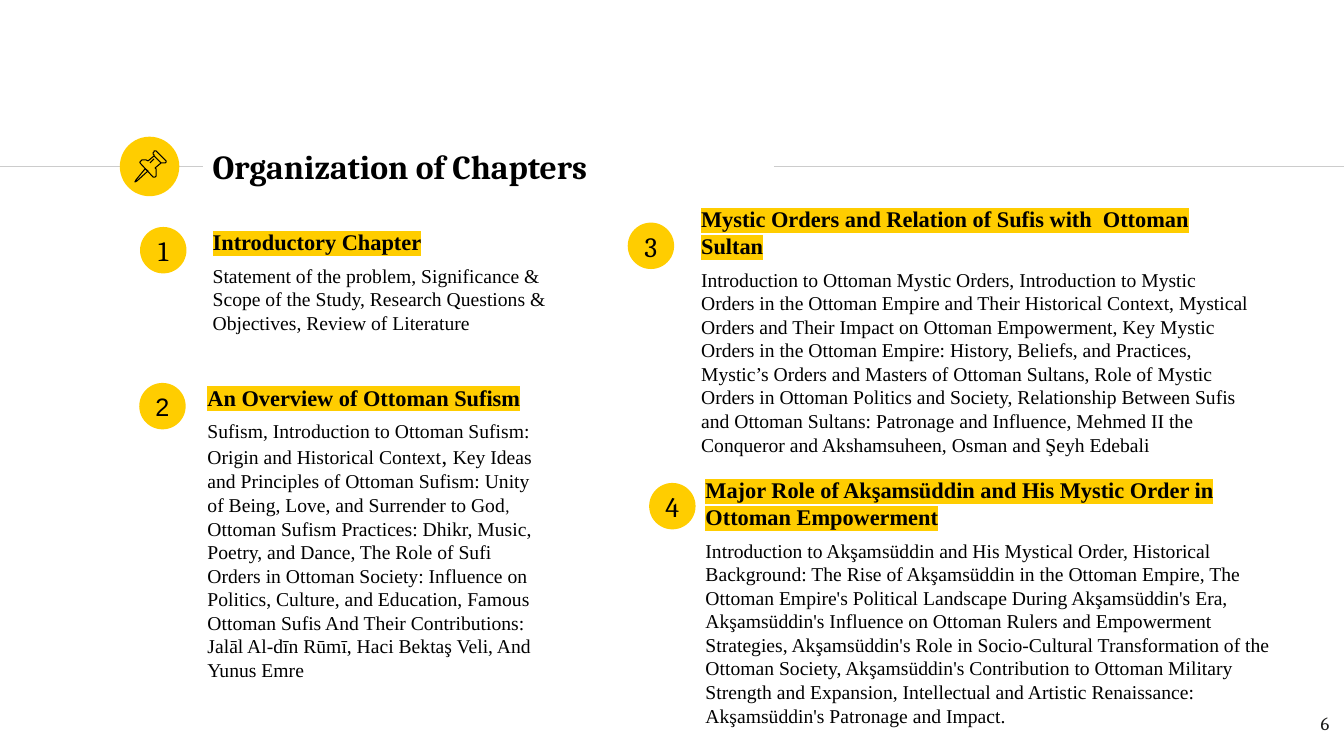
from lxml import etree
from pptx import Presentation
from pptx.dml.color import RGBColor
from pptx.enum.shapes import MSO_CONNECTOR, MSO_SHAPE
from pptx.enum.text import MSO_ANCHOR, PP_ALIGN
from pptx.oxml.ns import qn
from pptx.util import Cm, Pt

STRAIGHT = MSO_CONNECTOR.STRAIGHT
OVAL = MSO_SHAPE.OVAL
TOP, MIDDLE = MSO_ANCHOR.TOP, MSO_ANCHOR.MIDDLE
LEFT, CENTER, RIGHT = PP_ALIGN.LEFT, PP_ALIGN.CENTER, PP_ALIGN.RIGHT

YELLOW, BLACK, GREY, INK = "FFCD00", "000000", "CCCCCC", "1D1D1B"
SERIF, HEADING, SANS = "Times New Roman", "Cambria", "Arial"
SLIDE_W, SLIDE_H = 33.87, 19.05
INSET = 0.25
NUMBER_D = 1.17

# Pin outlines as (closed, points), in steps of PIN_UNIT from the badge corner
PIN_UNIT = 0.0254
PIN = [
    (True, [(25, 32), (16, 43), (15, 45), (17, 44), (28, 34)]),
    (True, [(34, 19), (41, 26), (44, 26), (45, 26), (46, 25), (46, 24),
            (36, 14), (34, 14), (34, 15), (33, 16), (33, 17), (34, 18)]),
    (False, [(34, 19), (28, 24), (26, 23), (24, 23), (22, 23), (21, 24),
             (20, 25), (20, 26), (33, 40), (35, 40), (36, 39), (36, 38),
             (36, 32), (35, 31), (41, 26)]),
    (False, [(30, 26), (34, 22)]),
]

# Number, its font and size, badge corner, text box, heading, body runs
CHAPTERS = [
    ("1", HEADING, 20, (3.53, 5.72), (5.11, 5.51, 9.02, 4.72),
     "Introductory Chapter",
     [("Statement of the problem, Significance & Scope of the Study, "
       "Research Questions & Objectives, Review of Literature", 14)]),
    ("2", SANS, 18, (3.51, 9.65), (4.98, 9.42, 8.71, 8.92),
     "An Overview of Ottoman Sufism",
     [("Sufism, Introduction to Ottoman Sufism: Origin and Historical Context", 14),
      (", ", 16),
      ("Key Ideas and Principles of Ottoman Sufism: Unity of Being, Love, "
       "and Surrender to God", 14),
      (", ", 12),
      ("Ottoman Sufism Practices: Dhikr, Music, Poetry, and Dance, The Role of "
       "Sufi Orders in Ottoman Society: Influence on Politics, Culture, and "
       "Education, Famous Ottoman Sufis And Their Contributions: Jalāl Al-dīn "
       "Rūmī, Haci Bektaş Veli, And Yunus Emre", 14)]),
    ("3", HEADING, 20, (15.82, 5.61), (17.42, 4.93, 14.38, 6.38),
     "Mystic Orders and Relation of Sufis with  Ottoman Sultan",
     [("Introduction to Ottoman Mystic Orders, Introduction to Mystic Orders in "
       "the Ottoman Empire and Their Historical Context, Mystical Orders and "
       "Their Impact on Ottoman Empowerment, Key Mystic Orders in the Ottoman "
       "Empire: History, Beliefs, and Practices, Mystic’s Orders and Masters of "
       "Ottoman Sultans, Role of Mystic Orders in Ottoman Politics and Society, "
       "Relationship Between Sufis and Ottoman Sultans: Patronage and Influence, "
       "Mehmed II the Conqueror and Akshamsuheen, Osman and Şeyh Edebali", 14)]),
    ("4", HEADING, 20, (16.36, 12.17), (17.53, 11.76, 14.88, 6.78),
     "Major Role of Akşamsüddin and His Mystic Order in Ottoman Empowerment",
     [("Introduction to Akşamsüddin and His Mystical Order, Historical "
       "Background: The Rise of Akşamsüddin in the Ottoman Empire, The Ottoman "
       "Empire's Political Landscape During Akşamsüddin's Era, Akşamsüddin's "
       "Influence on Ottoman Rulers and Empowerment Strategies, Akşamsüddin's "
       "Role in Socio-Cultural Transformation of the Ottoman Society, "
       "Akşamsüddin's Contribution to Ottoman Military Strength and Expansion, "
       "Intellectual and Artistic Renaissance: Akşamsüddin's Patronage and "
       "Impact.", 14)]),
]


def rgb(color):
    return RGBColor.from_string(color)


def set_frame(tf, inset, anchor, wrap=True):
    tf.word_wrap = wrap
    tf.vertical_anchor = anchor
    tf.margin_left = tf.margin_right = tf.margin_top = tf.margin_bottom = Cm(inset)


def add_run(p, text, size, font, color=BLACK, bold=False, highlight=None):
    r = p.add_run()
    r.text = text
    r.font.size, r.font.name, r.font.bold = Pt(size), font, bold
    r.font.color.rgb = rgb(color)
    if highlight:
        mark = etree.Element(qn("a:highlight"))
        etree.SubElement(mark, qn("a:srgbClr"), val=highlight)
        r.font.fill  # the highlight must follow the fill in the run properties
        r._r.rPr.find(qn("a:solidFill")).addnext(mark)


def add_text_box(s, box, anchor=TOP):
    tf = s.shapes.add_textbox(*map(Cm, box)).text_frame
    set_frame(tf, INSET, anchor)
    return tf


def add_disc(s, x, y, d):
    sp = s.shapes.add_shape(OVAL, Cm(x), Cm(y), Cm(d), Cm(d))
    sp.shadow.inherit = False
    sp.fill.solid()
    sp.fill.fore_color.rgb = rgb(YELLOW)
    sp.line.fill.background()
    return sp


def add_rule(s, x1, x2, y):
    line = s.shapes.add_connector(STRAIGHT, Cm(x1), Cm(y), Cm(x2), Cm(y))
    line.line.color.rgb = rgb(GREY)
    line.line.width = Pt(0.75)
    etree.SubElement(line._element.spPr, qn("a:effectLst"))


def add_pin(s, x, y):
    for closed, points in PIN:
        pen = s.shapes.build_freeform(*points[0], scale=Cm(PIN_UNIT))
        pen.add_line_segments(points[1:], close=closed)
        sp = pen.convert_to_shape(Cm(x), Cm(y))
        sp.shadow.inherit = False
        sp.fill.background()
        sp.line.color.rgb = rgb(BLACK)
        sp.line.width = Pt(0.75)


def add_header(s, x, y, w, h):
    """Title between two rules, with the pin badge on the left rule."""
    middle, badge, badge_x = y + h / 2, 1.5, 3.02
    add_rule(s, 0, x, middle)
    add_rule(s, x + w, SLIDE_W, middle)
    add_disc(s, badge_x, middle - badge / 2, badge)
    add_pin(s, badge_x, middle - badge / 2)
    p = add_text_box(s, (x, y, w, h), MIDDLE).paragraphs[0]
    add_run(p, "Organization of Chapters", 24, HEADING, bold=True)


def add_chapter(s, number, font, size, corner, box, heading, body):
    sp = add_disc(s, *corner, NUMBER_D)
    set_frame(sp.text_frame, 0, MIDDLE, wrap=False)
    p = sp.text_frame.paragraphs[0]
    p.alignment = CENTER
    add_run(p, number, size, font)

    tf = add_text_box(s, box)
    title, details = tf.paragraphs[0], tf.add_paragraph()
    for p in (title, details):
        p.alignment = LEFT
        p.space_before = Pt(6)
    add_run(title, heading, 16, SERIF, bold=True, highlight=YELLOW)
    for text, body_size in body:
        add_run(details, text, body_size, SERIF)


def add_page_number(s, x, y, w, h):
    p = add_text_box(s, (x, y, w, h)).paragraphs[0]
    p.alignment = RIGHT
    add_run(p, "6", 13.3, HEADING, INK)


def main():
    prs = Presentation()
    prs.slide_width, prs.slide_height = Cm(SLIDE_W), Cm(SLIDE_H)
    s = prs.slides.add_slide(prs.slide_layouts[6])
    add_header(s, 5.11, 3.38, 14.39, 1.63)
    for chapter in CHAPTERS:
        add_chapter(s, *chapter)
    add_page_number(s, 31.72, 17.68, 2.03, 1.45)
    prs.save("out.pptx")


if __name__ == "__main__":
    main()
